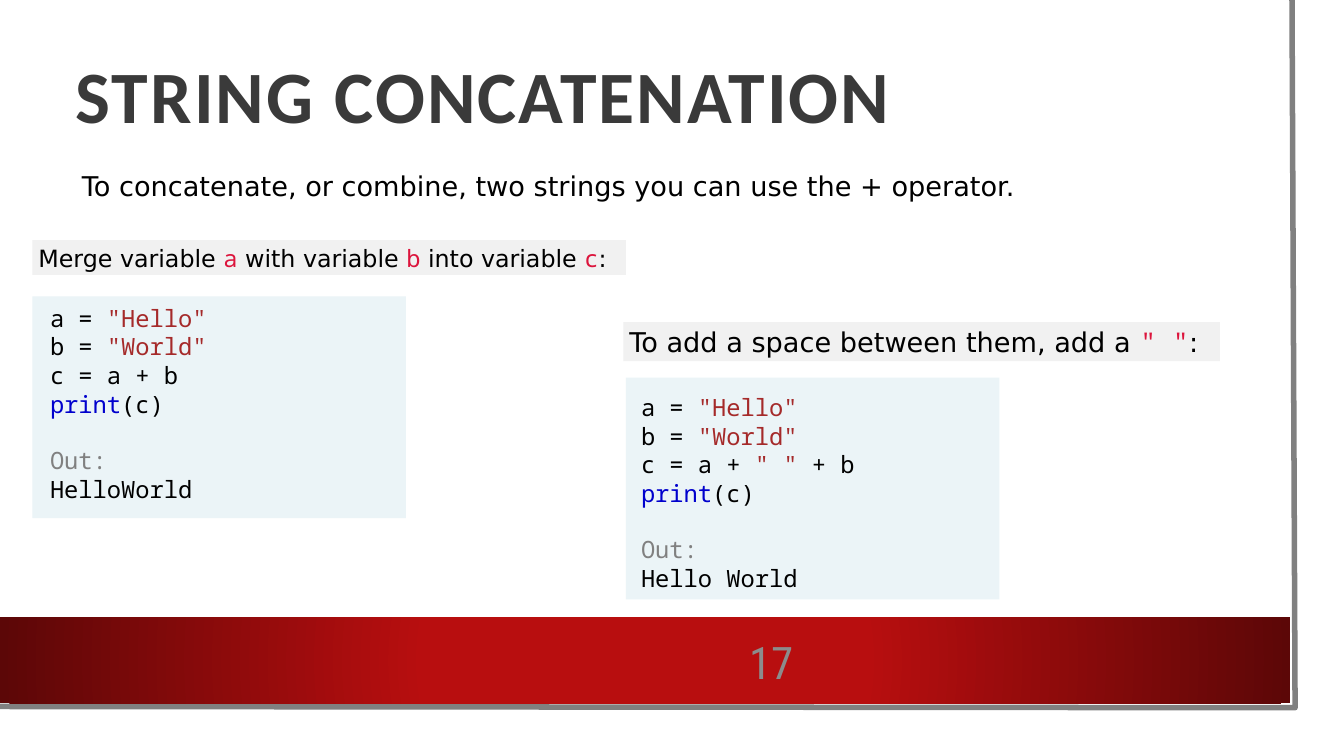
from pptx import Presentation
from pptx.dml.color import RGBColor
from pptx.enum.shapes import MSO_SHAPE
from pptx.enum.text import MSO_ANCHOR, MSO_AUTO_SIZE, PP_ALIGN
from pptx.oxml import parse_xml
from pptx.oxml.ns import nsdecls, qn
from pptx.util import Pt

PX = 9144  # 100 px to the inch
RECT = MSO_SHAPE.RECTANGLE
TOP, MIDDLE = MSO_ANCHOR.TOP, MSO_ANCHOR.MIDDLE
LEFT, RIGHT = PP_ALIGN.LEFT, PP_ALIGN.RIGHT
FIXED = MSO_AUTO_SIZE.NONE

COLORS = {
    "title": "3A3A3A", "text": "000000", "name": "DC143C",
    "string": "A52A2A", "call": "0000CD", "out": "808080",
    "number": "8C8C8C", "frame": "808080", "label": "F1F1F1",
    "code": "EBF4F7", "red": "B80E0F", "dark": "5C0707",
}
SANS, MONO = "DejaVu Sans", "Noto Sans Mono"
BARE = dict.fromkeys(
    ["margin_left", "margin_top", "margin_right", "margin_bottom"], 0)


def color(key):
    return RGBColor.from_string(COLORS[key])


def apply(target, values):
    for key, value in values.items():
        setattr(target, key, value)


def place(shape, box):
    sides = ("left", "top", "width", "height")
    apply(shape, {side: n * PX for side, n in zip(sides, box)})


def write(shape, lines, size, font=SANS, gaps=None, frame=None,
          align=LEFT, bold=False):
    """Fill a shape with lines of (text, color key[, font]) runs."""
    body = shape.text_frame
    apply(body, {"word_wrap": True, "auto_size": FIXED,
                 "vertical_anchor": TOP, **(frame or {})})
    for i, line in enumerate(lines):
        para = body.paragraphs[0] if i == 0 else body.add_paragraph()
        apply(para, {"alignment": align,
                     "space_before": Pt((gaps or {}).get(i, 0))})
        for text, key, *face in line:
            run = para.add_run()
            run.text = text
            apply(run.font, {"size": Pt(size), "bold": bold,
                             "name": face[0] if face else font})
            run.font.color.rgb = color(key)


def add_text(slide, box, *args, **values):
    shape = slide.shapes.add_textbox(*(n * PX for n in box))
    write(shape, *args, **values)


def add_rect(slide, box, key):
    shape = slide.shapes.add_shape(RECT, *(n * PX for n in box))
    shape.shadow.inherit = False
    shape.line.fill.background()
    shape.fill.solid()
    shape.fill.fore_color.rgb = color(key)
    return shape


def add_frame(slide):
    pen = slide.shapes.build_freeform(2114, 0, scale=PX)
    pen.add_line_segments([(2119, 1158), (-5, 1156)], close=False)
    frame = pen.convert_to_shape()
    frame.shadow.inherit = False
    frame.fill.background()
    frame.line.color.rgb = color("frame")
    frame.line.width = Pt(6.5)


def add_band(slide):
    band = add_rect(slide, (0, 1010, 2111, 141), "red")
    band.fill.gradient()
    stops = zip(band.fill.gradient_stops, (0.34, 1), ("red", "dark"))
    for stop, place_at, key in stops:
        stop.position = place_at
        stop.color.rgb = color(key)
    grad = band._element.spPr.find(qn("a:gradFill"))
    grad.replace(grad.find(qn("a:lin")), parse_xml(
        f'<a:path {nsdecls("a")} path="circle"><a:fillToRect '
        'l="50000" t="50000" r="50000" b="50000"/></a:path>'))


def add_label(slide, box, runs, size):
    write(add_rect(slide, box, "label"), [runs], size,
          frame={"vertical_anchor": MIDDLE})


def add_code(slide, spot, inset, sum_runs, result):
    """Draw a code panel; inset is the offset of its text box."""
    (x, y), (dx, dy) = spot, inset
    add_rect(slide, (x, y, 611, 363), "code")
    lines = [
        [("a = ", "text"), ('"Hello"', "string")],
        [("b = ", "text"), ('"World"', "string")],
        sum_runs,
        [("print", "call"), ("(c)", "text")],
        [("Out:", "out")],
        [(result, "text")],
    ]
    add_text(slide, (x + dx, y + dy, 580, 340), lines, 28, MONO, {4: 33})


def set_head(slide):
    title = slide.shapes.title
    place(title, (124, 81, 1875, 150))
    write(title, [[("STRING CONCATENATION", "title")]], 87, "Calibri",
          frame=BARE, bold=True)
    title.text_frame.paragraphs[0].runs[0].font._element.set("spc", "250")

    body = slide.placeholders[1]
    place(body, (124, 272, 1800, 64))
    write(body, [[("To concatenate, or combine, two strings "
                   "you can use the + operator.", "text")]], 32)
    props = body.text_frame.paragraphs[0]._p.get_or_add_pPr()
    apply_indent = {"marL": "0", "indent": "0"}
    for key, value in apply_indent.items():
        props.set(key, value)
    props.append(parse_xml(f'<a:buNone {nsdecls("a")}/>'))


def main():
    deck = Presentation()
    apply(deck, {"slide_width": 2199 * PX, "slide_height": 1237 * PX})
    slide = deck.slides.add_slide(deck.slide_layouts[1])
    add_frame(slide)
    add_band(slide)
    set_head(slide)

    add_label(slide, (53, 393, 971, 57), [
        ("Merge variable ", "text"), ("a", "name", MONO),
        (" with variable ", "text"), ("b", "name", MONO),
        (" into variable ", "text"), ("c", "name", MONO),
        (":", "text")], 28)
    add_code(slide, (53, 485), (19, 7),
             [("c = a + b", "text")], "HelloWorld")

    add_label(slide, (1020, 527, 976, 64), [
        ("To add a space between them, add a ", "text"),
        ('" "', "name", MONO), (":", "text")], 32)
    add_code(slide, (1024, 618), (15, 20),
             [("c = a + ", "text"), ('" "', "string"), (" + b", "text")],
             "Hello World")

    add_text(slide, (1134, 1038, 164, 90), [[("17", "number")]], 52.8,
             "Roboto Condensed", frame={**BARE, "vertical_anchor": MIDDLE},
             align=RIGHT)
    deck.save("out.pptx")


if __name__ == "__main__":
    main()
